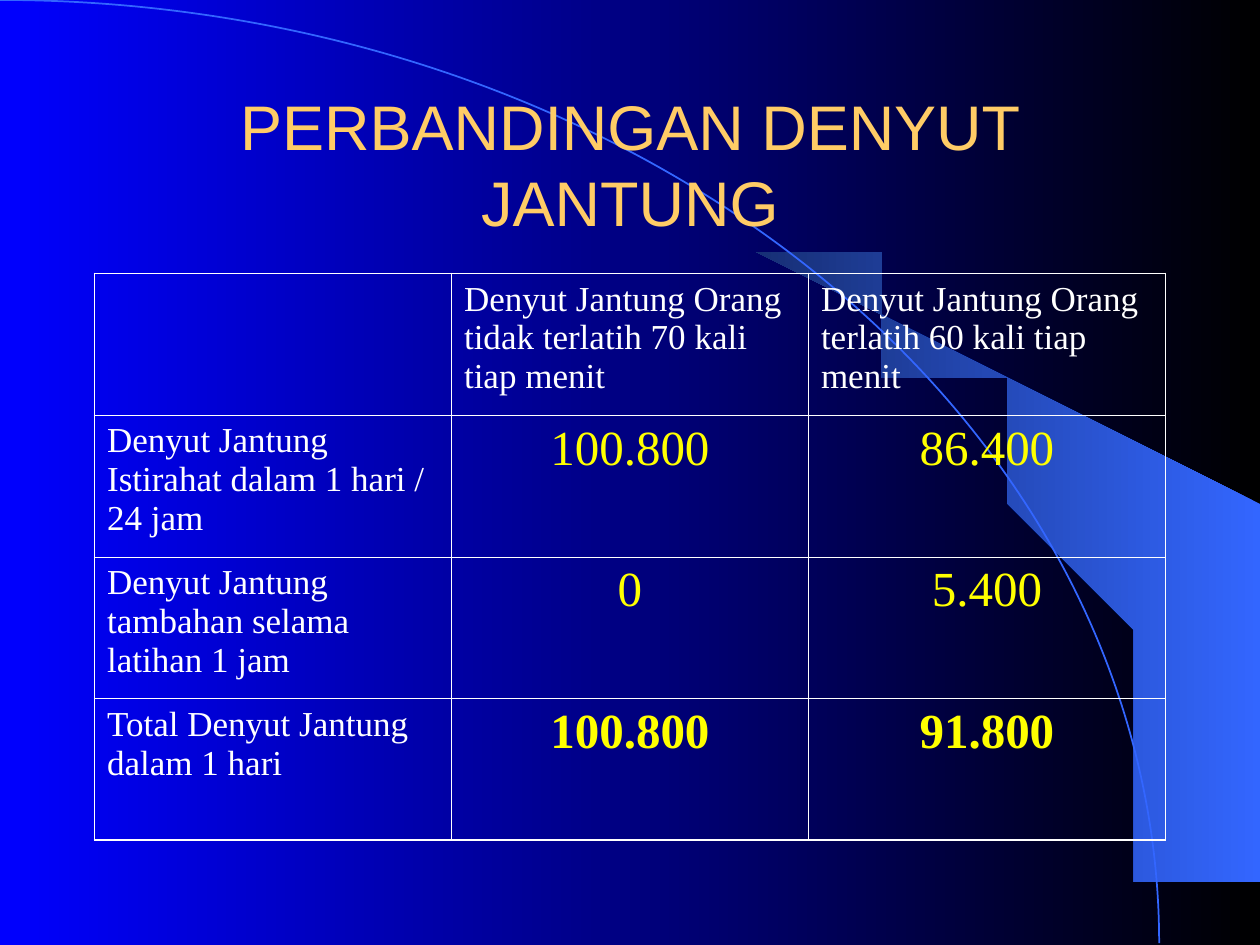
import pptx
import pptx.util
import pptx.dml.color
import pptx.enum.shapes
import pptx.enum.text
import pptx.oxml.ns
from lxml import etree

Inches, Pt = pptx.util.Inches, pptx.util.Pt
ALIGN = pptx.enum.text.PP_ALIGN


def rgb(value):
    return pptx.dml.color.RGBColor.from_string(value)


def set_gradient(fill, start, end):
    fill.gradient()
    fill.gradient_angle = 180
    for stop, color, position in zip(fill.gradient_stops, (start, end), (0, 1)):
        stop.color.rgb = rgb(color)
        stop.position = position


prs = pptx.Presentation()
prs.slide_width, prs.slide_height = Inches(10), Inches(7.5)
s = prs.slides.add_slide(prs.slide_layouts[5])
set_gradient(s.background.fill, "000000", "0000FF")

# Light beam along the arc
beam = [(9.2, 7.48), (9.99, 7.49), (9.99, 4.23), (5.89, 1.73), (6.24, 1.99),
        (6.53, 2.22), (6.85, 2.5), (7.16, 2.8), (7.62, 3.3), (8.03, 3.84),
        (8.32, 4.31), (8.58, 4.79), (8.78, 5.28), (8.93, 5.72), (9.03, 6.09),
        (9.13, 6.56), (9.17, 6.96)]
builder = s.shapes.build_freeform(*beam[0], scale=Inches(1))
builder.add_line_segments(beam[1:], close=True)
sp = builder.convert_to_shape()
sp.shadow.inherit = False
set_gradient(sp.fill, "3366FF", "172F75")
sp.line.fill.background()

# Quarter arc
arc = s.shapes.add_shape(pptx.enum.shapes.MSO_SHAPE.ARC,
                         Inches(-9.2), 0, Inches(18.4), Inches(14.97))
arc.shadow.inherit = False
arc.fill.background()
arc.line.color.rgb = rgb("3366FF")
arc.line.width = Pt(1)

# Title, in front of the decoration
title = s.shapes.title
s.shapes._spTree.append(title._element)
title.left, title.top = Inches(0.75), Inches(0.67)
title.width, title.height = Inches(8.5), Inches(1.25)
tf = title.text_frame
tf.text = "PERBANDINGAN DENYUT JANTUNG"
tf.word_wrap = True
tf.vertical_anchor = pptx.enum.text.MSO_ANCHOR.MIDDLE
p = tf.paragraphs[0]
p.alignment = ALIGN.CENTER
font = p.runs[0].font
font.name, font.size, font.color.rgb = "Arial", Pt(36), rgb("FFCC66")

# Heart rate table
rows = [
    ("", "Denyut Jantung Orang tidak terlatih 70 kali tiap menit",
     "Denyut Jantung Orang terlatih 60 kali tiap menit"),
    ("Denyut Jantung Istirahat dalam 1 hari / 24 jam", "100.800", "86.400"),
    ("Denyut Jantung tambahan selama latihan 1 jam", "0", "5.400"),
    ("Total Denyut Jantung dalam 1 hari", "100.800", "91.800"),
]
last_row, last_col = len(rows) - 1, len(rows[0]) - 1
table = s.shapes.add_table(len(rows), len(rows[0]), Inches(0.75), Inches(2.17),
                           Inches(8.5), Inches(4.5)).table
table.first_row = table.horz_banding = False

for i, row in enumerate(rows):
    for j, text in enumerate(row):
        cell = table.cell(i, j)
        cell.fill.background()
        if text:
            is_value = i > 0 and j > 0
            cell.text_frame.text = text
            p = cell.text_frame.paragraphs[0]
            p.alignment = ALIGN.CENTER if is_value else ALIGN.LEFT
            font = p.runs[0].font
            font.name = "Times New Roman"
            font.size = Pt(28 if is_value else 20)
            font.color.rgb = rgb("FFFF00" if is_value else "FFFFFF")
            font.bold = is_value and i == last_row

        # Borders: heavier on the outer edge
        outer = {"lnL": j == 0, "lnR": j == last_col,
                 "lnT": i == 0, "lnB": i == last_row}
        tcPr = cell._tc.get_or_add_tcPr()
        for k, (side, is_outer) in enumerate(outer.items()):
            ln = etree.Element(pptx.oxml.ns.qn("a:" + side),
                               w=str(Pt(1.08 if is_outer else 0.45)))
            fill = etree.SubElement(ln, pptx.oxml.ns.qn("a:solidFill"))
            etree.SubElement(fill, pptx.oxml.ns.qn("a:srgbClr"), val="FFFFFF")
            tcPr.insert(k, ln)

prs.save("out.pptx")
